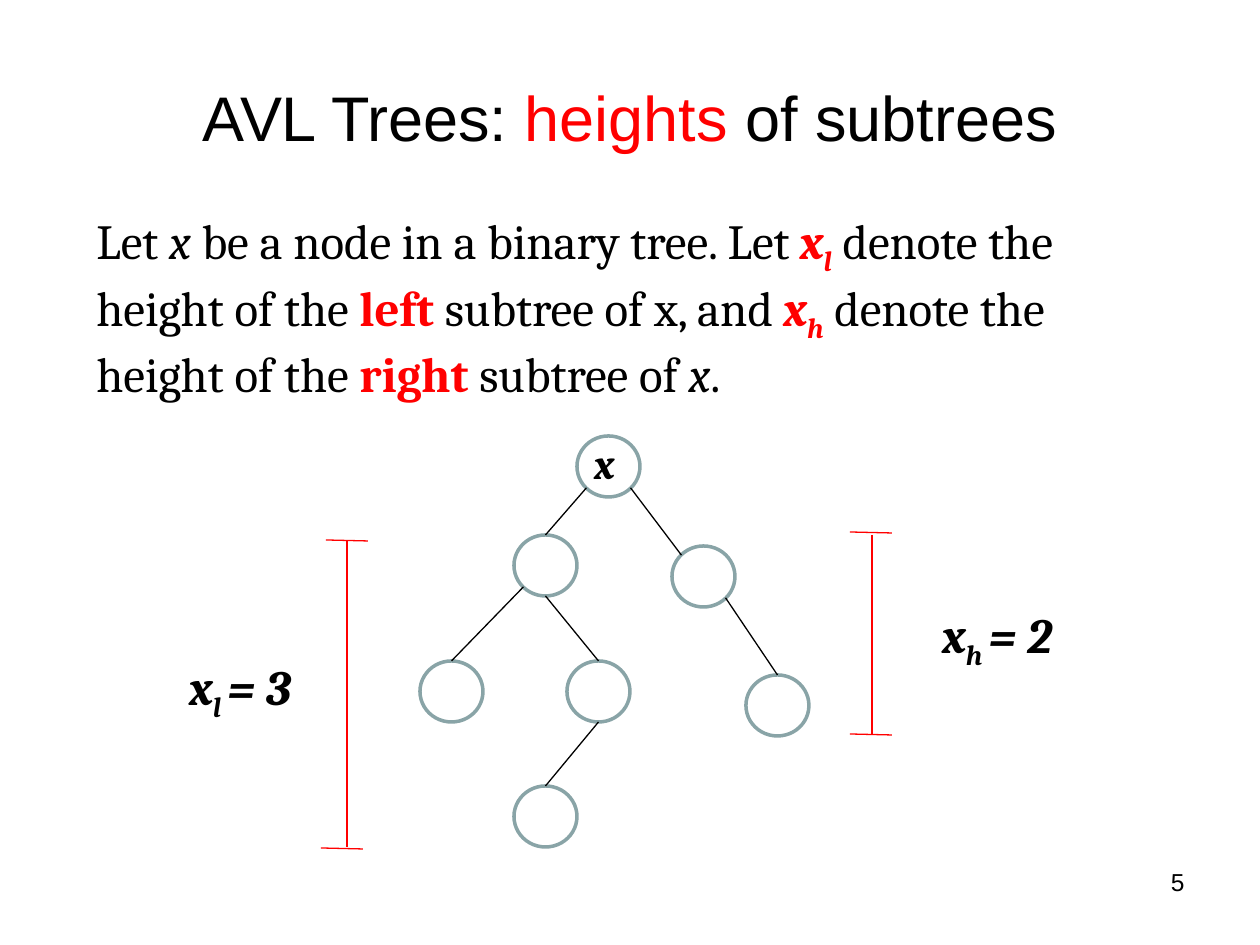
from pptx import Presentation
from pptx.dml.color import RGBColor
from pptx.enum.shapes import MSO_CONNECTOR, MSO_SHAPE
from pptx.enum.text import MSO_ANCHOR, PP_ALIGN
from pptx.oxml.ns import qn
from pptx.util import Pt
from lxml import etree

PX = 914400 / 126
OVAL, LINE = MSO_SHAPE.OVAL, MSO_CONNECTOR.STRAIGHT
LEFT, MID, RIGHT = PP_ALIGN.LEFT, PP_ALIGN.CENTER, PP_ALIGN.RIGHT
TOP, CENTER = MSO_ANCHOR.TOP, MSO_ANCHOR.MIDDLE
BLACK, RED, GRAY = "000000", "FF0000", "89A4A7"

prs = Presentation()
prs.slide_width, prs.slide_height = round(1260 * PX), round(945 * PX)
slide = prs.slides.add_slide(prs.slide_layouts[6])
shapes = slide.shapes


def write(box, runs, size, face, align=LEFT, anchor=TOP, wrap=True):
    """Each run is text, colour and style: b bold, i italic, s subscript."""
    frame = shapes.add_textbox(*[round(v * PX) for v in box]).text_frame
    frame.word_wrap = wrap
    frame.vertical_anchor = anchor
    para = frame.paragraphs[0]
    para.alignment = align
    for text, color, style in runs:
        run = para.add_run()
        run.text = text
        font = run.font
        font.name, font.size = face, Pt(size)
        font.color.rgb = RGBColor.from_string(color)
        font.bold, font.italic = "b" in style, "i" in style
        if "s" in style:
            run._r.get_or_add_rPr().set("baseline", "-25000")


def draw(start, end, color):
    line = shapes.add_connector(LINE, *[round(v * PX) for v in (*start, *end)])
    line.line.color.rgb = RGBColor.from_string(color)
    line.line.width = Pt(0.75)
    etree.SubElement(line._element.spPr, qn("a:effectLst"))


# Title, definition and slide number
write((63, 38, 1134, 157),
      [("AVL Trees: ", BLACK, ""), ("heights", RED, ""),
       (" of subtrees", BLACK, "")], 36, "Arial", MID, CENTER)
write((84, 204, 1092, 205),
      [("Let ", BLACK, ""), ("x", BLACK, "i"),
       (" be a node in a binary tree. Let ", BLACK, ""),
       ("x", RED, "bi"), ("l", RED, "bis"),
       (" denote the height of the ", BLACK, ""), ("left", RED, "b"),
       (" subtree of x, and ", BLACK, ""),
       ("x", RED, "bi"), ("h", RED, "bis"),
       (" denote the height of the ", BLACK, ""), ("right", RED, "b"),
       (" subtree of ", BLACK, ""), ("x", BLACK, "i"), (".", BLACK, "")],
      28, "Cambria")
write((1081, 861, 116, 65), [("5", BLACK, "")], 14, "Arial", RIGHT)

# Tree nodes, by left and top
W, H = 63, 61
nodes = {"root": (577, 436), "l": (514, 535), "r": (672, 546),
         "ll": (420, 661), "lr": (567, 661), "rr": (746, 675),
         "lrl": (514, 786)}
for x, y in nodes.values():
    node = shapes.add_shape(OVAL, *[round(v * PX) for v in (x, y, W, H)])
    node.shadow.inherit = False
    node.fill.background()
    node.line.color.rgb = RGBColor.from_string(GRAY)
    node.line.width = Pt(2)
write((582, 431, 47, 63), [("x", BLACK, "bi")], 24, "Cambria", wrap=False)

# Tree edges, between points on the rims
rim = {"top": (0.5, 0), "low": (0.5, 1), "nw": (0.15, 0.15),
       "sw": (0.15, 0.85), "se": (0.85, 0.85)}
edges = [("root", "sw", "l", "top"), ("l", "sw", "ll", "top"),
         ("l", "low", "lr", "top"), ("root", "se", "r", "nw"),
         ("r", "se", "rr", "top"), ("lr", "low", "lrl", "top")]
for up, out, down, into in edges:
    ends = [(nodes[n][0] + rim[p][0] * W, nodes[n][1] + rim[p][1] * H)
            for n, p in ((up, out), (down, into))]
    draw(*ends, BLACK)

# Height bars with end ticks
for start, end in [((347, 541), (347, 847)), ((872, 535), (872, 735)),
                   ((892, 533), (850, 532)), ((368, 541), (326, 540)),
                   ((363, 849), (321, 848)), ((892, 735), (850, 734))]:
    draw(start, end, RED)

# Height labels
for box, sub, value in [((177, 650, 141, 79), "l ", "= 3"),
                        ((930, 598, 150, 79), "h ", "= 2")]:
    write(box, [("x", BLACK, "bi"), (sub, BLACK, "bis"),
                (value, BLACK, "bi")], 28, "Cambria", wrap=False)

prs.save("out.pptx")
